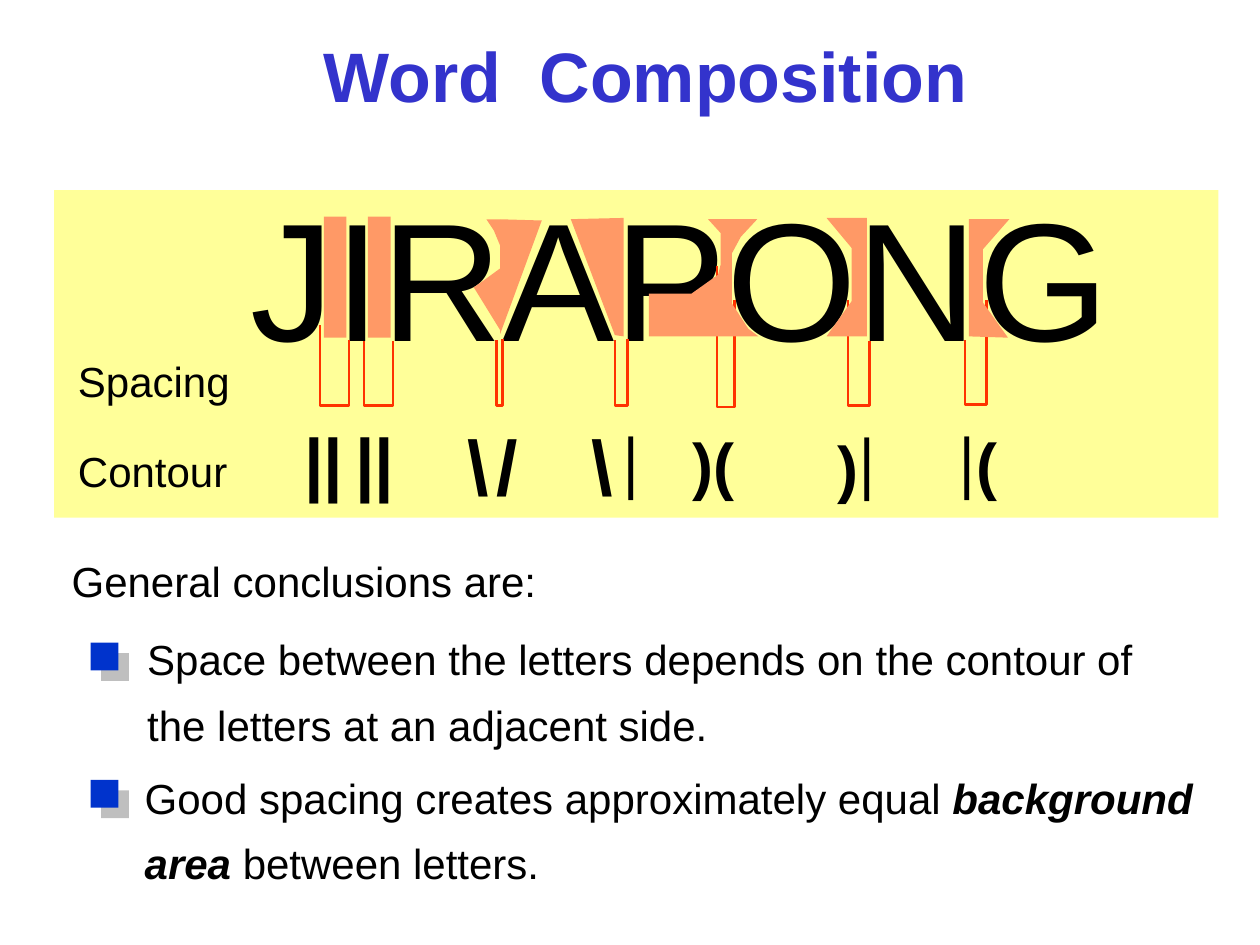
from lxml.etree import SubElement
from pptx import Presentation
from pptx.dml.color import RGBColor
from pptx.enum.shapes import MSO_SHAPE as Shape
from pptx.enum.text import MSO_AUTO_SIZE as AutoSize
from pptx.oxml.ns import qn
from pptx.util import Pt

PX = 9144
COLORS = {
    "panel": "FFFF99", "title": "3333CC", "text": "000000", "spacing": "FF3300",
    "gap": "FF9966", "bullet": "0033CC", "shadow": "808080",
}
RGB = {name: RGBColor.from_string(value) for name, value in COLORS.items()}

presentation = Presentation()
presentation.slide_width = 1000 * PX
presentation.slide_height = 750 * PX
slide = presentation.slides.add_slide(presentation.slide_layouts[6])


def add_text(box, lines, size, font="Arial", bold=False, color="text", wrap=False, spacing=None):
    shape = slide.shapes.add_textbox(*[value * PX for value in box])
    frame = shape.text_frame
    frame.word_wrap = wrap
    frame.auto_size = AutoSize.SHAPE_TO_FIT_TEXT
    for index, line in enumerate(lines):
        paragraph = frame.paragraphs[0] if index == 0 else frame.add_paragraph()
        paragraph.text = line
        paragraph.line_spacing = spacing
        paragraph.font.size = Pt(size)
        paragraph.font.name = font
        paragraph.font.bold = bold
        paragraph.font.color.rgb = RGB[color]
    return frame.paragraphs[0]


def add_rectangle(box, color):
    shape = slide.shapes.add_shape(Shape.RECTANGLE, *[value * PX for value in box])
    shape.shadow.inherit = False
    shape.fill.solid()
    shape.fill.fore_color.rgb = RGB[color]
    shape.line.fill.background()
    return shape


add_rectangle((43, 151, 924, 260), "panel")
add_text((247, 21, 532, 77), ["Word  Composition"], 40, bold=True, color="title")
add_text((189, 133, 702, 170), ["JIRAPONG"], 96)

spacing_brackets = [
    (254, 258, 277, 270, 322), (289, 271, 312, 271, 322), (394, 270, 399, 269, 322),
    (488, 270, 498, 269, 322), (569, 211, 583, 238, 323), (673, 238, 690, 271, 322),
    (766, 270, 783, 238, 321),
]
for left, left_top, right, right_top, bottom in spacing_brackets:
    builder = slide.shapes.build_freeform(left, left_top, scale=PX)
    builder.add_line_segments([(left, bottom), (right, bottom), (right, right_top)], close=False)
    bracket = builder.convert_to_shape()
    bracket.shadow.inherit = False
    bracket.fill.background()
    bracket.line.color.rgb = RGB["spacing"]
    bracket.line.width = Pt(1.5)

slashes = add_text((361, 327, 71, 83), [""], 44, bold=True, wrap=True)
for mark, size in [("\\", 44), (" ", 16), ("/", 44)]:
    run = slashes.add_run()
    run.text = mark
    run.font.size = Pt(size)

contours = [
    ("\\", (460, 327, 40, 83), 44), (")(", (540, 333, 74, 70), 36),
    (")", (655, 335, 40, 70), 36), ("(", (765, 333, 40, 70), 36),
]
for mark, box, size in contours:
    add_text(box, [mark], size, bold=True, wrap=True)
for left, top in [(485, 325), (672, 326), (752, 325)]:
    add_text((left, top, 32, 77), ["|"], 40, font="Times New Roman", bold=True)
for left in (232, 247, 272, 287):
    add_text((left, 327, 48, 77), ["|"], 40, bold=True)

add_text((52, 277, 141, 50), ["Spacing"], 24)
add_text((52, 349, 139, 50), ["Contour"], 24)
add_text((47, 436, 389, 50), ["General conclusions are:"], 24)
add_text(
    (107, 486, 802, 114),
    ["Space between the letters depends on the contour of", "the letters at an adjacent side."],
    24, spacing=1.3,
)
conclusion = add_text((105, 596, 852, 114), ["Good spacing creates approximately equal "], 24, spacing=1.3)
for words, emphasis in [("background", True), ("area", True), (" between letters.", False)]:
    if words == "area":
        conclusion.add_line_break()
    run = conclusion.add_run()
    run.text = words
    run.font.bold = run.font.italic = emphasis

for top in (510, 619):
    bullet = add_rectangle((72, top, 22, 22), "bullet")
    effects = bullet.element.spPr.find(qn("a:effectLst"))
    shadow = SubElement(
        effects, qn("a:outerShdw"), dist=str(Pt(8.5)), dir="2700000", algn="ctr", rotWithShape="0"
    )
    shade = SubElement(shadow, qn("a:srgbClr"), val=COLORS["shadow"])
    SubElement(shade, qn("a:alpha"), val="50000")

for left in (257, 292):
    add_rectangle((left, 172, 18, 96), "gap")

letter_gaps = [
    [(495, 267), (495, 173), (453, 174), (488, 266)],
    [(397, 265), (397, 174), (430, 175)],
    [(397, 174), (386, 174), (392, 183), (397, 195)],
    [(397, 213), (382, 224), (376, 228), (397, 262)],
    [(515, 267), (515, 233), (549, 233), (570, 218), (572, 210), (572, 185), (562, 174),
     (601, 174), (588, 188), (581, 201), (581, 241), (594, 261), (602, 267)],
    [(688, 267), (656, 267), (676, 239), (676, 197), (656, 173), (688, 173)],
    [(769, 267), (800, 268), (780, 240), (780, 198), (801, 174), (769, 174)],
]
for start, *points in letter_gaps:
    builder = slide.shapes.build_freeform(*start, scale=PX)
    builder.add_line_segments(points, close=True)
    gap = builder.convert_to_shape()
    gap.shadow.inherit = False
    gap.fill.solid()
    gap.fill.fore_color.rgb = RGB["gap"]
    gap.line.fill.background()

presentation.save("out.pptx")
